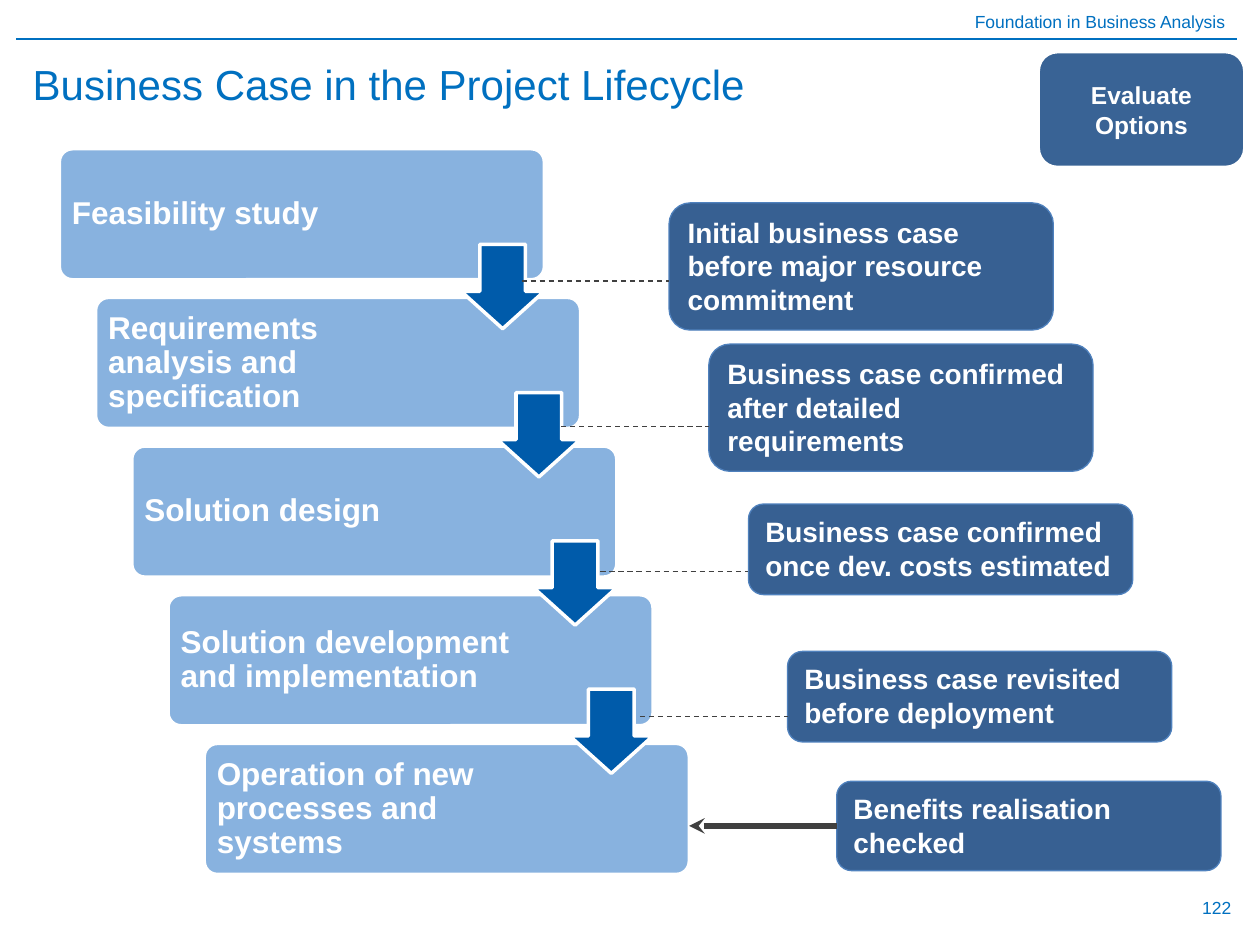
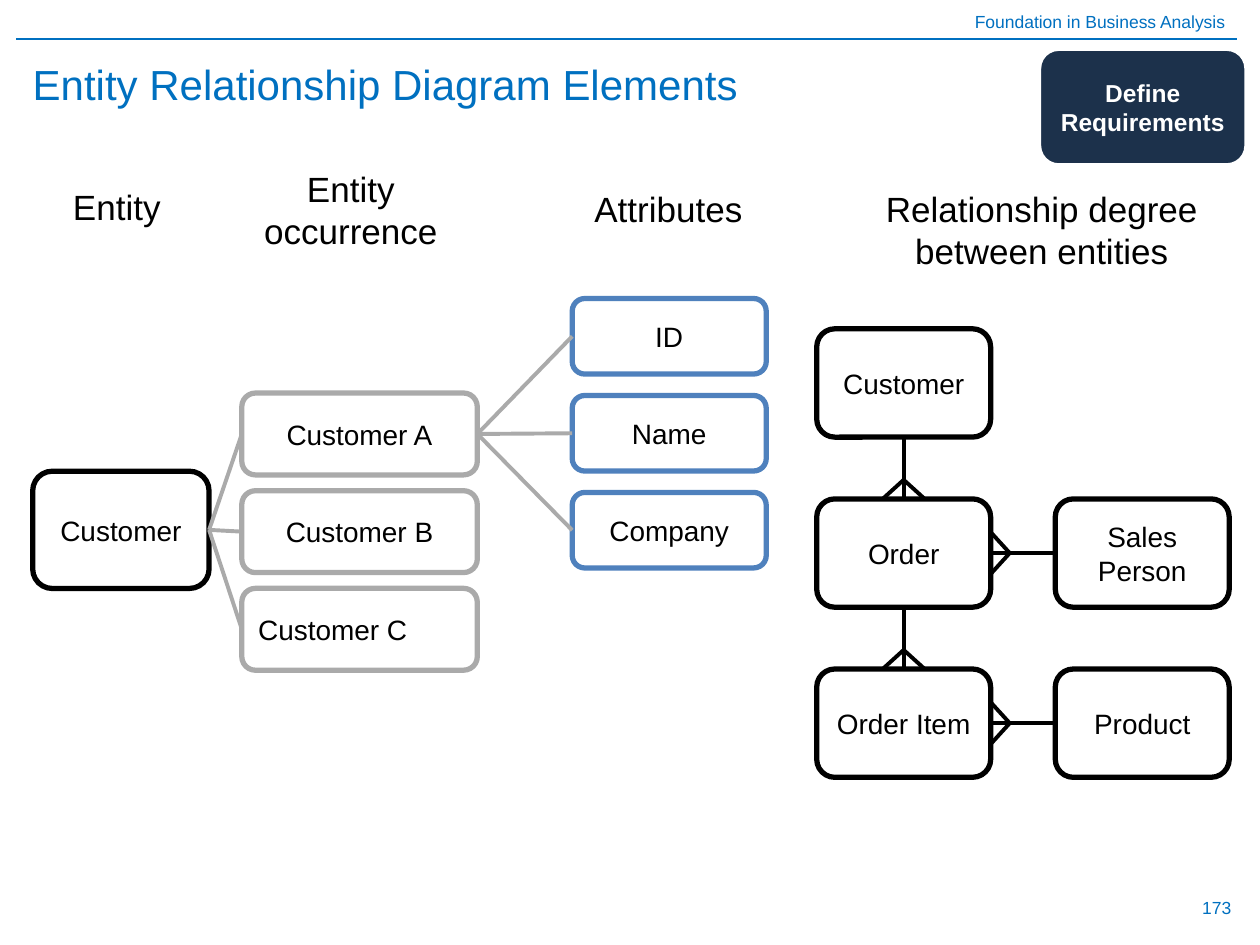
from pptx import Presentation
from pptx.dml.color import RGBColor
from pptx.enum.dml import MSO_LINE
from pptx.enum.shapes import MSO_CONNECTOR, MSO_SHAPE
from pptx.enum.text import MSO_ANCHOR, MSO_AUTO_SIZE, PP_ALIGN
from pptx.oxml.ns import qn
from pptx.util import Pt
from lxml import etree

ROUND = MSO_SHAPE.ROUNDED_RECTANGLE
NOTE = MSO_SHAPE.FLOWCHART_ALTERNATE_PROCESS
DOWN_ARROW = MSO_SHAPE.DOWN_ARROW
STRAIGHT = MSO_CONNECTOR.STRAIGHT
LEFT, CENTER, RIGHT = PP_ALIGN.LEFT, PP_ALIGN.CENTER, PP_ALIGN.RIGHT
TOP_ANCHOR, MIDDLE = MSO_ANCHOR.TOP, MSO_ANCHOR.MIDDLE
TOP_SIDE, LEFT_SIDE, BOTTOM_SIDE, RIGHT_SIDE = range(4)


class Theme:
    font = "Arial"
    blue = "0070C0"
    white = "FFFFFF"
    black = "000000"
    phase = "88B2DF"
    arrow = "005BAA"
    note = "376092"
    outline = "4F81BD"
    dark = "404040"
    grey = "AAAAAA"
    small, badge, body, phase_size, heading, title = 10, 14, 16, 18, 20, 24


COURSE = "Foundation in Business Analysis"

LIFECYCLE = dict(title="Business Case in the Project Lifecycle", page="122",
                 badge="Evaluate Options", badge_color="396395", badge_at=(593.3, 29.5))
PHASES = [
    "Feasibility study",
    "Requirements analysis and specification",
    "Solution design",
    "Solution development and implementation",
    "Operation of new processes and systems",
]
NOTES = [
    ("Initial business case before major resource commitment", 382.3, 115.9, 72.7),
    ("Business case confirmed after detailed requirements", 405, 196.6, 72.7),
    ("Business case confirmed once dev. costs estimated", 427.7, 288, 51.8),
    ("Business case revisited before deployment", 450, 372.2, 51.8),
    ("Benefits realisation checked", 478.1, 446.4, 51.1),
]

ERD = dict(title="Entity Relationship Diagram Elements", page="173",
           badge="Define Requirements", badge_color="1C314B", badge_at=(594, 28.1))
HEADINGS = [
    ("Entity", 34.6, 102.2, 90, LEFT),
    ("Entity occurrence", 141.8, 92.2, 117.4, CENTER),
    ("Attributes", 298.1, 103.7, 167.8, CENTER),
    ("Relationship degree between entities", 487.4, 103.7, 216, CENTER),
]
OCCURRENCES = [("Customer A", CENTER), ("Customer B", CENTER), ("Customer C", LEFT)]
ATTRIBUTES = ["ID", "Name", "Company"]
ENTITIES = [("Customer", 0, 0), ("Order", 0, 1), ("Sales Person", 1, 1),
            ("Order Item", 0, 2), ("Product", 1, 2)]
ONE_TO_MANY = [
    ("Customer", BOTTOM_SIDE, "Order", TOP_SIDE),
    ("Order", BOTTOM_SIDE, "Order Item", TOP_SIDE),
    ("Sales Person", LEFT_SIDE, "Order", RIGHT_SIDE),
    ("Product", LEFT_SIDE, "Order Item", RIGHT_SIDE),
]


def rgb(color):
    return RGBColor.from_string(color)


def write(tf, text, size, color, align=LEFT, anchor=MIDDLE, bold=False):
    tf.word_wrap = True
    tf.auto_size = MSO_AUTO_SIZE.NONE
    tf.vertical_anchor = anchor
    p = tf.paragraphs[0]
    p.alignment = align
    r = p.add_run()
    r.text = text
    r.font.name, r.font.size, r.font.bold = Theme.font, Pt(size), bold
    r.font.color.rgb = rgb(color)
    return p


def label(s, box, text, size, color, **style):
    tf = s.shapes.add_textbox(*map(Pt, box)).text_frame
    write(tf, text, size, color, **style)


def block(s, kind, box, fill, line, width, adjust=()):
    sp = s.shapes.add_shape(kind, *map(Pt, box))
    sp.shadow.inherit = False
    sp.fill.solid()
    sp.fill.fore_color.rgb = rgb(fill)
    sp.line.color.rgb = rgb(line)
    sp.line.width = Pt(width)
    for i, value in enumerate(adjust):
        sp.adjustments[i] = value
    return sp


def connect(s, start, end, color, width):
    cx = s.shapes.add_connector(STRAIGHT, *map(Pt, start + end))
    cx.line.color.rgb = rgb(color)
    cx.line.width = Pt(width)
    etree.SubElement(cx._element.spPr, qn("a:effectLst"))
    return cx


def join(s, a, a_side, b, b_side, color):
    cx = connect(s, (0, 0), (0, 0), color, 2.25)
    cx.begin_connect(a, a_side)
    cx.end_connect(b, b_side)
    return cx


def new_slide(prs, info):
    s = prs.slides.add_slide(prs.slide_layouts[5])
    title = s.shapes.title
    title.left, title.top, title.width, title.height = map(Pt, (11.5, 28.1, 691.9, 39.6))
    write(title.text_frame, info["title"], Theme.title, Theme.blue)
    label(s, (0, 2.9, 707, 19.4), COURSE, Theme.small, Theme.blue, align=RIGHT, anchor=TOP_ANCHOR)
    connect(s, (9.4, 22.3), (707, 22.3), Theme.blue, 0.75)
    label(s, (542.9, 504, 167.8, 28.8), info["page"], Theme.small, Theme.blue, align=RIGHT)
    badge = block(s, ROUND, info["badge_at"] + (118.1, 66.2), info["badge_color"], Theme.white, 2)
    write(badge.text_frame, info["badge"], Theme.badge, Theme.white, align=CENTER, bold=True)
    return s


def build_lifecycle(prs):
    s = new_slide(prs, LIFECYCLE)
    for i, text in enumerate(PHASES):
        box = (33.9 + 20.7 * i, 85 + 84.96 * i, 277.2, 74.9)
        phase = block(s, ROUND, box, Theme.phase, Theme.white, 2, [0.1])
        tf = phase.text_frame
        tf.margin_left = tf.margin_top = tf.margin_bottom = Pt(5)
        tf.margin_right = Pt(73.4)
        p = write(tf, text, Theme.phase_size, Theme.white, bold=True)
        p.line_spacing = 0.9
    for i in range(len(PHASES) - 1):
        box = (263.5 + 20.7 * i, 139.7 + 84.7 * i, 47.5, 48.2)
        block(s, DOWN_ARROW, box, Theme.arrow, Theme.white, 2, [0.55, 0.45])
    for i, (text, x, y, h) in enumerate(NOTES):
        note = block(s, NOTE, (x, y, 219.6, h), Theme.note, Theme.outline, 0.75)
        write(note.text_frame, text, Theme.body, Theme.white, anchor=TOP_ANCHOR, bold=True)
        if i < len(NOTES) - 1:
            level = 160.6 + 83 * i
            cx = connect(s, (298.1 + 22.5 * i, level), (x, level), Theme.dark, 0.75)
            cx.line.dash_style = MSO_LINE.DASH
        else:
            middle = y + h / 2
            cx = connect(s, (393.8, middle), (x, middle), Theme.dark, 3)
            cx.end_connect(note, LEFT_SIDE)
            etree.SubElement(cx.line._get_or_add_ln(), qn("a:headEnd"), type="stealth")


def node(s, box, text, line, align=CENTER):
    sp = block(s, ROUND, box, Theme.white, line, 3)
    write(sp.text_frame, text, Theme.body, Theme.black, align=align)
    return sp


def crows_foot(s, sp, side, depth=10.9, spread=12):
    x, y, w, h = (v.pt for v in (sp.left, sp.top, sp.width, sp.height))
    for offset in (-spread, spread):
        if side == TOP_SIDE:
            apex, toe = (x + w / 2, y - depth), (x + w / 2 + offset, y)
        else:
            apex, toe = (x + w + depth, y + h / 2), (x + w, y + h / 2 + offset)
        connect(s, apex, toe, Theme.black, 2.25)


def build_erd(prs):
    s = new_slide(prs, ERD)
    for text, x, y, w, align in HEADINGS:
        h = 55.4 if " " in text else 31.7
        label(s, (x, y, w, h), text, Theme.heading, Theme.black, align=align, anchor=TOP_ANCHOR)

    customer = node(s, (18.7, 269.3, 100.8, 67), "Customer", Theme.black)
    occurrences = [node(s, (138.2, 224.6 + 55.8 * i, 134.6, 46.8), text, Theme.grey, align)
                   for i, (text, align) in enumerate(OCCURRENCES)]
    attributes = [node(s, (327, 170.6 + 55.4 * i, 110.9, 43.2), text, Theme.outline)
                  for i, text in enumerate(ATTRIBUTES)]
    for source, targets in ((customer, occurrences), (occurrences[0], attributes)):
        for target in targets:
            join(s, source, RIGHT_SIDE, target, LEFT_SIDE, Theme.grey)

    entities = {text: node(s, (466.7 + 136.3 * col, 187.9 + 97.2 * row, 99.4, 61.9),
                           text, Theme.black)
                for text, col, row in ENTITIES}
    for one, one_side, many, many_side in ONE_TO_MANY:
        join(s, entities[one], one_side, entities[many], many_side, Theme.black)
        crows_foot(s, entities[many], many_side)


def main():
    prs = Presentation()
    prs.slide_width, prs.slide_height = Pt(720), Pt(540)
    build_lifecycle(prs)
    build_erd(prs)
    prs.save("out.pptx")


if __name__ == "__main__":
    main()
